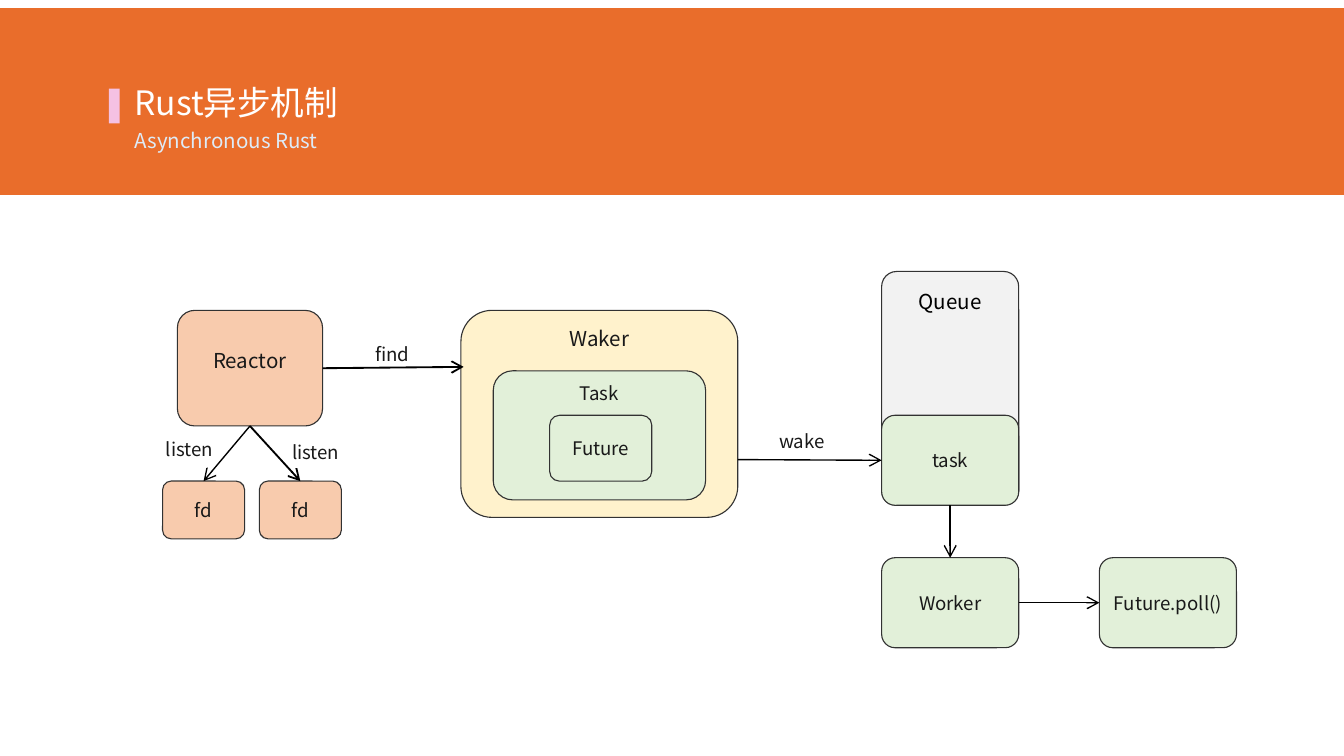
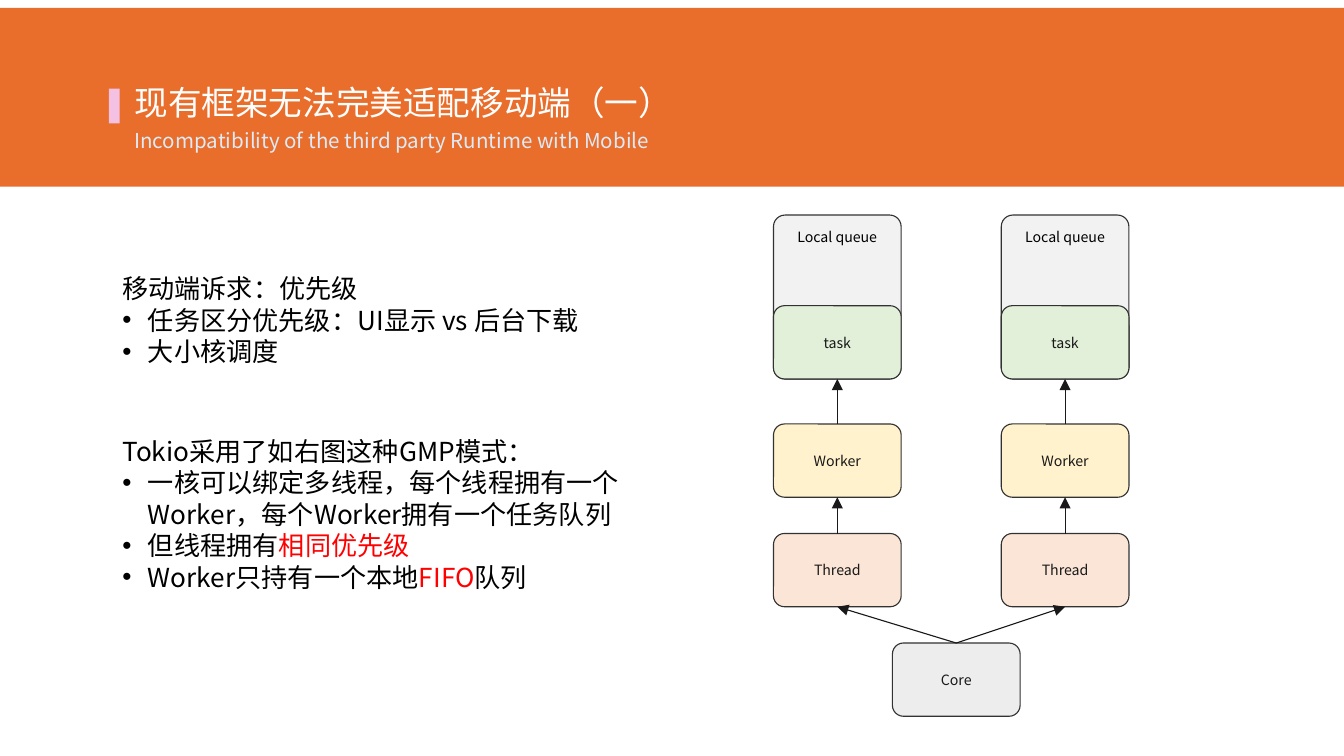
import dataclasses
import typing

import pptx
import pptx.dml.color
import pptx.enum.shapes
import pptx.enum.text
import pptx.oxml.ns
import pptx.util
from lxml import etree

COLOURS = {
    "band": "E96D2B", "accent": "F5C1E3", "title": "FFFFFF", "subtitle": "DEEBF7",
    "outline": "323232", "ink": "191919", "black": "000000", "red": "FF0000",
    "peach": "F8CBAD", "cream": "FFF2CC", "green": "E2F0D9", "pale": "F2F2F2",
    "blush": "FBE5D6", "grey": "EDEDED",
}
FONT = "Noto Sans CJK SC"
COLUMNS, ROWS = 100, 56.25
CELL = pptx.util.Inches(0.1)
INSET = pptx.util.Inches(0.05)
SIDE_INSET = pptx.util.Inches(0.04)
BULLET_INDENT = pptx.util.Inches(0.19)
ALIGN = pptx.enum.text.PP_ALIGN
ANCHOR = pptx.enum.text.MSO_ANCHOR
SHAPE = pptx.enum.shapes.MSO_SHAPE
TOP, LEFT, BOTTOM, RIGHT = range(4)

PADDED = {
    "word_wrap": True, "vertical_anchor": ANCHOR.TOP,
    "auto_size": pptx.enum.text.MSO_AUTO_SIZE.SHAPE_TO_FIT_TEXT,
    "margin_left": INSET, "margin_top": INSET, "margin_right": INSET, "margin_bottom": INSET,
}
TIGHT = {
    "word_wrap": True, "vertical_anchor": ANCHOR.TOP,
    "margin_left": 0, "margin_top": 0, "margin_right": 0, "margin_bottom": 0,
}
BOXED = TIGHT | {
    "vertical_anchor": ANCHOR.MIDDLE, "margin_left": SIDE_INSET, "margin_right": SIDE_INSET,
}


class Area(typing.NamedTuple):
    column: float
    row: float
    columns: float
    rows: float


class Line(typing.NamedTuple):
    runs: tuple[tuple[str, str], ...]
    bullet: bool = False


class Joint(typing.NamedTuple):
    box: str
    side: int


class Point(typing.NamedTuple):
    column: float
    row: float


@dataclasses.dataclass(frozen=True)
class Box:
    name: str
    area: Area
    fill: str
    text: str = ""
    size: float = 10
    lift: float = 0
    corner: float = 0.15


@dataclasses.dataclass(frozen=True)
class Label:
    text: str
    area: Area
    size: float = 10
    colour: str = "ink"
    anchor: ANCHOR = ANCHOR.TOP


@dataclasses.dataclass(frozen=True)
class Arrow:
    start: Joint | Point
    end: Joint | Point
    width: float = 0.75
    head: str = "arrow"
    colour: str = "black"


def rgb(name: str) -> pptx.dml.color.RGBColor:
    return pptx.dml.color.RGBColor.from_string(COLOURS[name])


def span(cells: float) -> int:
    return round(cells * CELL)


def apply(target, values: dict) -> None:
    for name, value in values.items():
        setattr(target, name, value)


def add_element(parent, tag: str, **attributes: str) -> None:
    etree.SubElement(parent, pptx.oxml.ns.qn(tag), attributes)


def write(text_frame, lines: list[Line], size: float, form: dict, align=ALIGN.LEFT) -> None:
    apply(text_frame, form)
    for index, line in enumerate(lines):
        paragraph = text_frame.add_paragraph() if index else text_frame.paragraphs[0]
        paragraph.alignment = align
        if line.bullet:
            properties = paragraph._p.get_or_add_pPr()
            properties.set("marL", str(BULLET_INDENT))
            properties.set("indent", str(-BULLET_INDENT))
            add_element(properties, "a:buFont", typeface="Arial")
            add_element(properties, "a:buChar", char="•")
        for text, colour in line.runs:
            run = paragraph.add_run()
            run.text = text
            apply(run.font, {"name": FONT, "size": pptx.util.Pt(size), "bold": False})
            run.font.color.rgb = rgb(colour)
            add_element(run._r.get_or_add_rPr(), "a:ea", typeface=FONT)


def add_filled(slide, kind, area: Area, fill: str):
    shape = slide.shapes.add_shape(kind, *map(span, area))
    shape.shadow.inherit = False
    shape.fill.solid()
    shape.fill.fore_color.rgb = rgb(fill)
    shape.line.fill.background()
    return shape


def add_text(slide, area: Area, lines: list[Line], size: float, form: dict, align=ALIGN.LEFT) -> None:
    shape = slide.shapes.add_textbox(*map(span, area))
    write(shape.text_frame, lines, size, form, align)


def add_box(slide, box: Box):
    shape = add_filled(slide, SHAPE.ROUNDED_RECTANGLE, box.area, box.fill)
    shape.adjustments[0] = box.corner
    shape.line.color.rgb = rgb("outline")
    shape.line.width = pptx.util.Pt(0.6)
    if box.text:
        form = BOXED | {"margin_bottom": span(box.lift)}
        write(shape.text_frame, [Line(((box.text, "ink"),))], box.size, form, ALIGN.CENTER)
    return shape


def add_label(slide, label: Label) -> None:
    form = TIGHT | {"vertical_anchor": label.anchor}
    add_text(slide, label.area, [Line(((label.text, label.colour),))], label.size, form, ALIGN.CENTER)


def add_arrow(slide, arrow: Arrow, shapes: dict) -> None:
    ends = [(span(end.column), span(end.row)) if isinstance(end, Point) else (0, 0)
            for end in (arrow.start, arrow.end)]
    connector = slide.shapes.add_connector(
        pptx.enum.shapes.MSO_CONNECTOR.STRAIGHT, *ends[0], *ends[1])
    for end, connect in ((arrow.start, connector.begin_connect), (arrow.end, connector.end_connect)):
        if isinstance(end, Joint):
            connect(shapes[end.box], end.side)
    connector.line.color.rgb = rgb(arrow.colour)
    connector.line.width = pptx.util.Pt(arrow.width)
    add_element(connector.line._get_or_add_ln(), "a:tailEnd", type=arrow.head)
    add_element(connector._element.spPr, "a:effectLst")


def draw_diagram(slide, boxes: list[Box], arrows: list[Arrow], labels: list[Label]) -> None:
    shapes = {box.name: add_box(slide, box) for box in boxes}
    for arrow in arrows:
        add_arrow(slide, arrow, shapes)
    for label in labels:
        add_label(slide, label)


def add_headed_slide(presentation, title: str, subtitle: str, band_rows: float):
    slide = presentation.slides.add_slide(presentation.slide_layouts[5])
    heading = slide.shapes.title
    band = add_filled(slide, SHAPE.RECTANGLE, Area(0, 0.6, COLUMNS, band_rows), "band")
    heading._element.addprevious(band._element)
    apply(heading, dict(zip(("left", "top", "width", "height"), map(span, (9.5, 5.6, 50.1, 4.1)))))
    write(heading.text_frame, [Line(((title, "title"),))], 18, PADDED)
    add_filled(slide, SHAPE.RECTANGLE, Area(8.1, 6.6, 0.8, 2.6), "accent")
    add_text(slide, Area(9.5, 9, 59.2, 2.9), [Line(((subtitle, "subtitle"),))], 11, PADDED)
    return slide


def build_async_slide(presentation) -> None:
    slide = add_headed_slide(presentation, "Rust异步机制", "Asynchronous Rust", 13.9)
    boxes = [
        Box("waker", Area(34.3, 23.1, 20.6, 15.4), "cream", "Waker", 11, lift=11.3),
        Box("outer task", Area(36.7, 27.6, 15.8, 9.6), "green", "Task", lift=6.3),
        Box("future", Area(40.9, 30.9, 7.6, 4.9), "green", "Future"),
        Box("queue", Area(65.6, 20.2, 10.2, 17.4), "pale", corner=0.11),
        Box("task", Area(65.6, 30.9, 10.2, 6.7), "green", "task"),
        Box("worker", Area(65.6, 41.5, 10.2, 6.7), "green", "Worker"),
        Box("poll", Area(81.8, 41.5, 10.2, 6.7), "green", "Future.poll()"),
        Box("reactor", Area(13.2, 23.1, 10.8, 8.6), "peach", "Reactor", 11, lift=1.2),
        Box("left fd", Area(12.1, 35.8, 6.1, 4.3), "peach", "fd"),
        Box("right fd", Area(19.3, 35.8, 6.1, 4.3), "peach", "fd"),
    ]
    arrows = [
        Arrow(Point(54.9, 34.2), Joint("task", LEFT)),
        Arrow(Joint("task", BOTTOM), Joint("worker", TOP)),
        Arrow(Joint("worker", RIGHT), Joint("poll", LEFT)),
        Arrow(Joint("reactor", BOTTOM), Joint("left fd", TOP)),
        Arrow(Joint("reactor", BOTTOM), Joint("right fd", TOP), 1),
        Arrow(Joint("reactor", RIGHT), Point(34.5, 27.3), 1),
    ]
    labels = [
        Label("Queue", Area(65.3, 20.8, 10.8, 3.2), 11, "black", ANCHOR.MIDDLE),
        Label("wake", Area(39.7, 32, 39.9, 1.5)),
        Label("listen", Area(10.7, 32.6, 6.8, 1.6)),
        Label("listen", Area(18.2, 32.8, 10.6, 1.4)),
        Label("find", Area(26.8, 25.5, 4.8, 2.1)),
    ]
    draw_diagram(slide, boxes, arrows, labels)


def build_priority_slide(presentation) -> None:
    slide = add_headed_slide(
        presentation, "现有框架无法完美适配移动端（一）",
        "Incompatibility of the third party Runtime with Mobile", 13.3)
    width, height, size = 9.5, 5.45, 7.6
    core_row, pitch = 47.85, 8.15
    boxes = [Box("core", Area(66.4, core_row, width, height), "grey", "Core", size)]
    arrows, labels = [], []
    for lane in (57.55, 74.5):
        queue, task, worker, thread = (f"{part} {lane}" for part in ("queue", "task", "worker", "thread"))
        boxes += [
            Box(thread, Area(lane, core_row - pitch, width, height), "blush", "Thread", size),
            Box(worker, Area(lane, core_row - 2 * pitch, width, height), "cream", "Worker", size),
            Box(queue, Area(lane, 16, width, 12.2), "pale", corner=0.09),
            Box(task, Area(lane, 22.75, width, height), "green", "task", size),
        ]
        chain = ("core", thread, worker, task)
        arrows += [
            Arrow(Joint(lower, TOP), Joint(upper, BOTTOM), 0.6, "triangle", "ink")
            for lower, upper in zip(chain, chain[1:])
        ]
        labels.append(Label("Local queue", Area(lane - 0.25, 16.5, 10, 2.2), size, "black", ANCHOR.MIDDLE))
    draw_diagram(slide, boxes, arrows, labels)

    model = [
        Line((("Tokio采用了如右图这种GMP模式：", "black"),)),
        Line((("一核可以绑定多线程，每个线程拥有一个Worker，每个Worker拥有一个任务队列", "black"),), True),
        Line((("但线程拥有", "black"), ("相同优先级", "red")), True),
        Line((("Worker只持有一个本地", "black"), ("FIFO", "red"), ("队列", "black")), True),
    ]
    demands = [
        Line((("移动端诉求：优先级", "black"),)),
        Line((("任务区分优先级：UI显示 vs 后台下载", "black"),), True),
        Line((("大小核调度", "black"),), True),
    ]
    add_text(slide, Area(8.6, 31.9, 44.5, 18.8), model, 14, PADDED)
    add_text(slide, Area(8.6, 19.8, 44.5, 12.1), demands, 14, PADDED)


def main() -> None:
    presentation = pptx.Presentation()
    presentation.slide_width = span(COLUMNS)
    presentation.slide_height = span(ROWS)
    build_async_slide(presentation)
    build_priority_slide(presentation)
    presentation.save("out.pptx")


if __name__ == "__main__":
    main()
